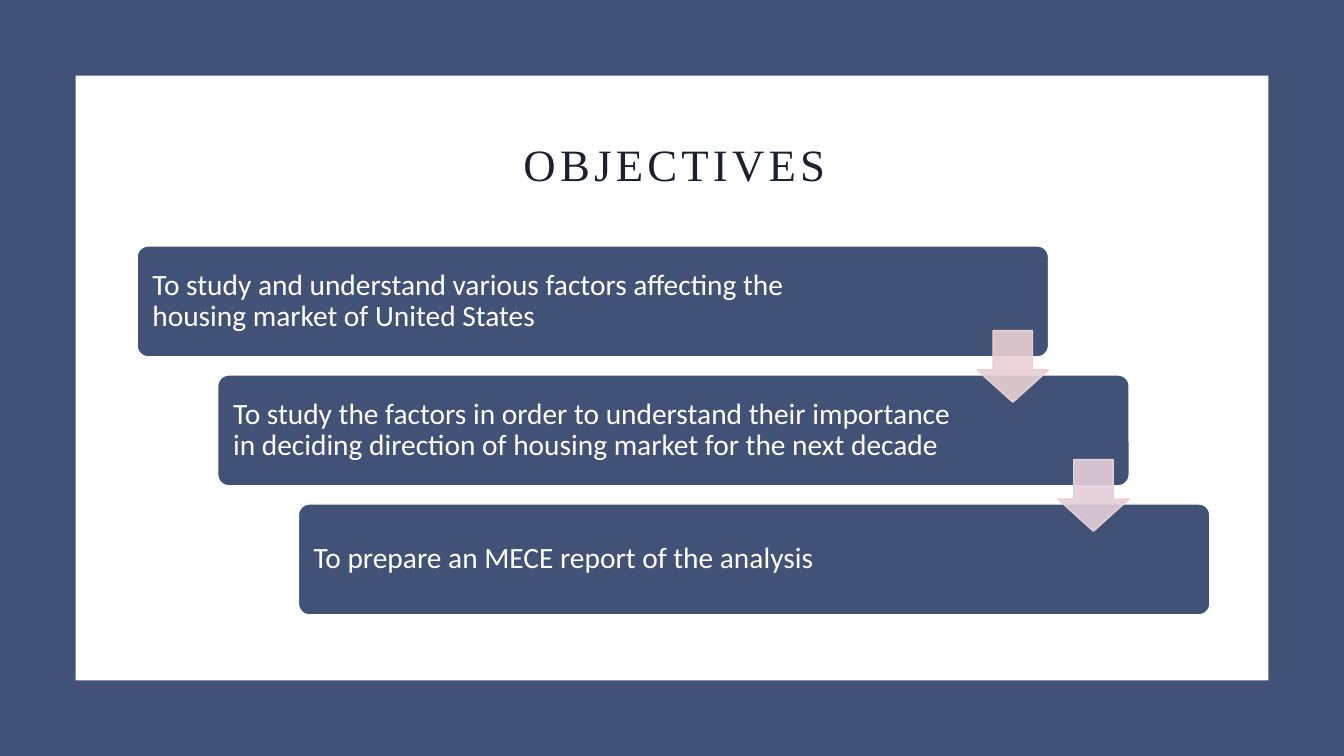
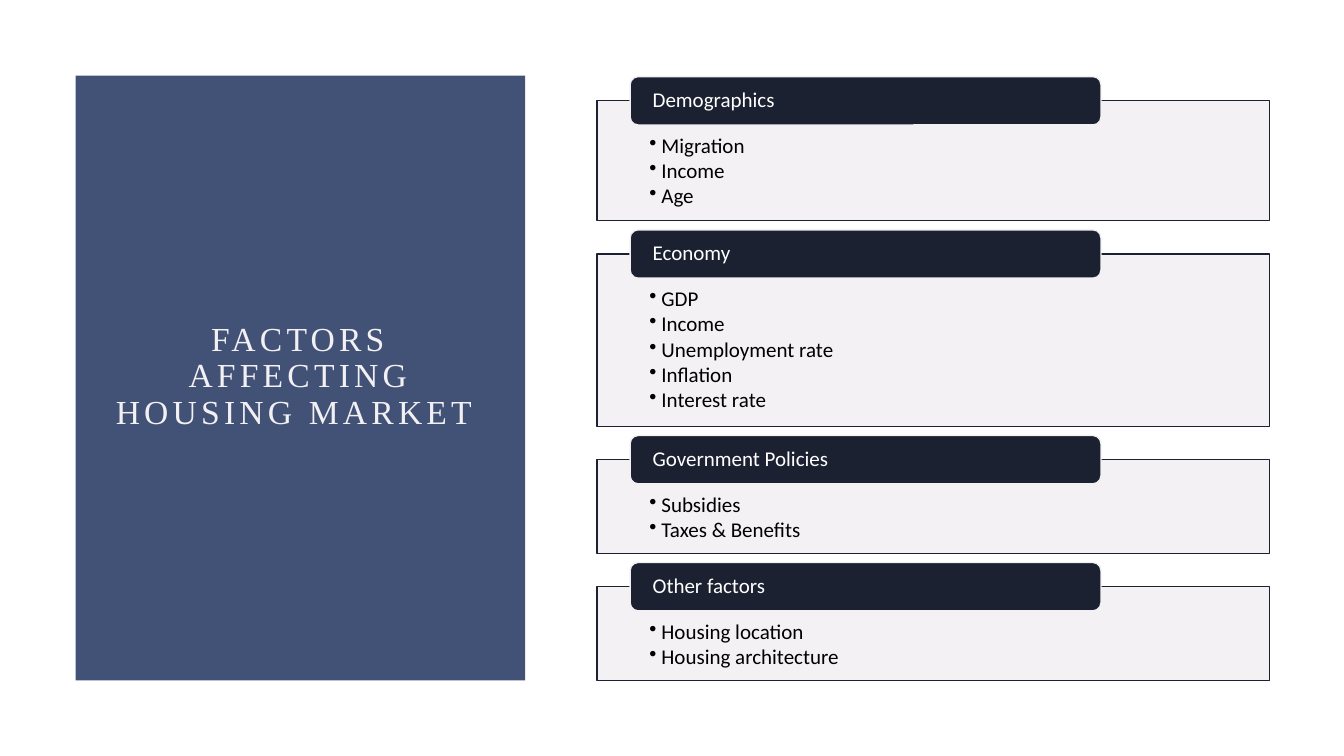
from dataclasses import dataclass
from typing import NamedTuple

from lxml.etree import SubElement
from pptx import Presentation
from pptx.dml.color import RGBColor
from pptx.enum.shapes import MSO_SHAPE as Preset
from pptx.enum.text import MSO_ANCHOR as Anchor, MSO_AUTO_SIZE as AutoSize, PP_ALIGN as Align
from pptx.oxml.ns import qn
from pptx.presentation import Presentation as Deck
from pptx.shapes.autoshape import Shape
from pptx.slide import Slide
from pptx.util import Pt

EMU_PER_PX = 9144
SLIDE_W, SLIDE_H = 1333, 750
MARGIN = 75
TITLE_ONLY = 5


@dataclass(frozen=True)
class Theme:
    blue: str = "425176"
    navy: str = "1B2130"
    white: str = "FFFFFF"
    black: str = "000000"
    pale: str = "F2F0F3"
    rose: str = "E9D0D3"
    mauve: str = "E4CED9"
    title_font: str = "Times New Roman"
    body_font: str = "Calibri"
    title_size: int = 32
    side_title_size: int = 24
    step_size: int = 21
    card_size: int = 15
    title_tracking: int = 300
    line_spacing: float = 0.9
    bullet_gap: float = 1.9
    translucency: int = 90


class Box(NamedTuple):
    left: int
    top: int
    width: int
    height: int


class Insets(NamedTuple):
    left: int
    top: int
    right: int
    bottom: int


class FactorCard(NamedTuple):
    heading: str
    factors: list[str]


THEME = Theme()

OBJECTIVES = [
    "To study and understand various factors affecting the housing market of United States",
    "To study the factors in order to understand their importance in deciding direction of housing market for the next decade",
    "To prepare an MECE report of the analysis",
]
ARROW_FILLS = [THEME.rose, THEME.mauve]
FACTOR_CARDS = [
    FactorCard("Demographics", ["Migration", "Income", "Age"]),
    FactorCard("Economy", ["GDP", "Income", "Unemployment rate", "Inflation", "Interest rate"]),
    FactorCard("Government Policies", ["Subsidies", "Taxes & Benefits"]),
    FactorCard("Other factors", ["Housing location", "Housing architecture"]),
]


def px(length: int) -> int:
    return length * EMU_PER_PX


def add_block(slide: Slide, preset: Preset, box: Box, fill: str, line: str | None = None,
              alpha: int = 100, adjustments: tuple[float, ...] = ()) -> Shape:
    block = slide.shapes.add_shape(preset, *map(px, box))
    block.shadow.inherit = False
    for index, value in enumerate(adjustments):
        block.adjustments[index] = value
    block.fill.solid()
    block.fill.fore_color.rgb = RGBColor.from_string(fill)
    if alpha < 100:
        colour = block.element.spPr.find(qn("a:solidFill"))[0]
        SubElement(colour, qn("a:alpha")).set("val", str(alpha * 1000))
    if line:
        block.line.color.rgb = RGBColor.from_string(line)
        block.line.width = Pt(1)
    else:
        block.line.fill.background()
    return block


def write(shape: Shape, lines: list[str], *, size: int, color: str,
          font: str = THEME.body_font, align: Align = Align.LEFT,
          anchor: Anchor = Anchor.MIDDLE, insets: Insets = Insets(10, 5, 10, 5),
          tracking: int = 0, bullet_indent: int = 0) -> None:
    frame = shape.text_frame
    frame.word_wrap = True
    frame.auto_size = AutoSize.NONE
    frame.vertical_anchor = anchor
    frame.margin_left, frame.margin_top, frame.margin_right, frame.margin_bottom = map(px, insets)
    for index, line in enumerate(lines):
        paragraph = frame.add_paragraph() if index else frame.paragraphs[0]
        paragraph.alignment = align
        paragraph.line_spacing = THEME.line_spacing
        run = paragraph.add_run()
        run.text = line
        run.font.name = font
        run.font.size = Pt(size)
        run.font.color.rgb = RGBColor.from_string(color)
        if tracking:
            run._r.get_or_add_rPr().set("spc", str(tracking))
        if bullet_indent:
            paragraph.space_after = Pt(THEME.bullet_gap)
            properties = paragraph._p.get_or_add_pPr()
            properties.set("marL", str(px(bullet_indent)))
            properties.set("indent", str(-px(bullet_indent)))
            SubElement(properties, qn("a:buChar")).set("char", "•")


def place_title(slide: Slide, text: str, box: Box, size: int, color: str) -> None:
    title = slide.shapes.title
    title.left, title.top, title.width, title.height = map(px, box)
    title.element.getparent().append(title.element)
    write(title, [text], size=size, color=color, font=THEME.title_font,
          align=Align.CENTER, tracking=THEME.title_tracking)


def new_slide(deck: Deck) -> Slide:
    return deck.slides.add_slide(deck.slide_layouts[TITLE_ONLY])


def build_objectives(deck: Deck) -> None:
    slide = new_slide(deck)
    add_block(slide, Preset.RECTANGLE, Box(0, 0, SLIDE_W, SLIDE_H), THEME.blue)
    add_block(slide, Preset.RECTANGLE,
              Box(MARGIN, MARGIN, SLIDE_W - 2 * MARGIN, SLIDE_H - 2 * MARGIN), THEME.white)
    place_title(slide, "OBJECTIVES", Box(150, 117, 1038, 98), THEME.title_size, THEME.navy)

    steps = [Box(136 + 80 * index, 244 + 128 * index, 904, 110)
             for index in range(len(OBJECTIVES))]
    for step, objective in zip(steps, OBJECTIVES):
        block = add_block(slide, Preset.ROUNDED_RECTANGLE, step, THEME.blue, THEME.white,
                          adjustments=(0.1,))
        write(block, [objective], size=THEME.step_size, color=THEME.white,
              insets=Insets(12, 12, 160, 12))
    arrow_side = 71
    for step, fill in zip(steps, ARROW_FILLS):
        arrow = Box(step.left + step.width - arrow_side, step.top + 84, arrow_side, arrow_side)
        add_block(slide, Preset.DOWN_ARROW, arrow, fill, THEME.rose,
                  alpha=THEME.translucency, adjustments=(0.55, 0.45))


def build_factors(deck: Deck) -> None:
    slide = new_slide(deck)
    add_block(slide, Preset.RECTANGLE, Box(MARGIN, MARGIN, 446, SLIDE_H - 2 * MARGIN), THEME.blue)
    place_title(slide, "FACTORS AFFECTING HOUSING MARKET ", Box(86, 149, 423, 450),
                THEME.side_title_size, THEME.pale)

    heading_height = 48
    top = 76
    for card in FACTOR_CARDS:
        body = Box(592, top + heading_height // 2, 667, 41 + 26 * len(card.factors))
        panel = add_block(slide, Preset.RECTANGLE, body, THEME.pale, THEME.navy,
                          alpha=THEME.translucency)
        write(panel, card.factors, size=THEME.card_size, color=THEME.black, anchor=Anchor.TOP,
              insets=Insets(52, 34, 52, 12), bullet_indent=12)
        heading = add_block(slide, Preset.ROUNDED_RECTANGLE,
                            Box(625, top, 467, heading_height), THEME.navy, THEME.pale)
        write(heading, [card.heading], size=THEME.card_size, color=THEME.white,
              insets=Insets(20, 0, 20, 0))
        top = body.top + body.height + 9


def main() -> None:
    deck = Presentation()
    deck.slide_width, deck.slide_height = px(SLIDE_W), px(SLIDE_H)
    build_objectives(deck)
    build_factors(deck)
    deck.save("out.pptx")


if __name__ == "__main__":
    main()
